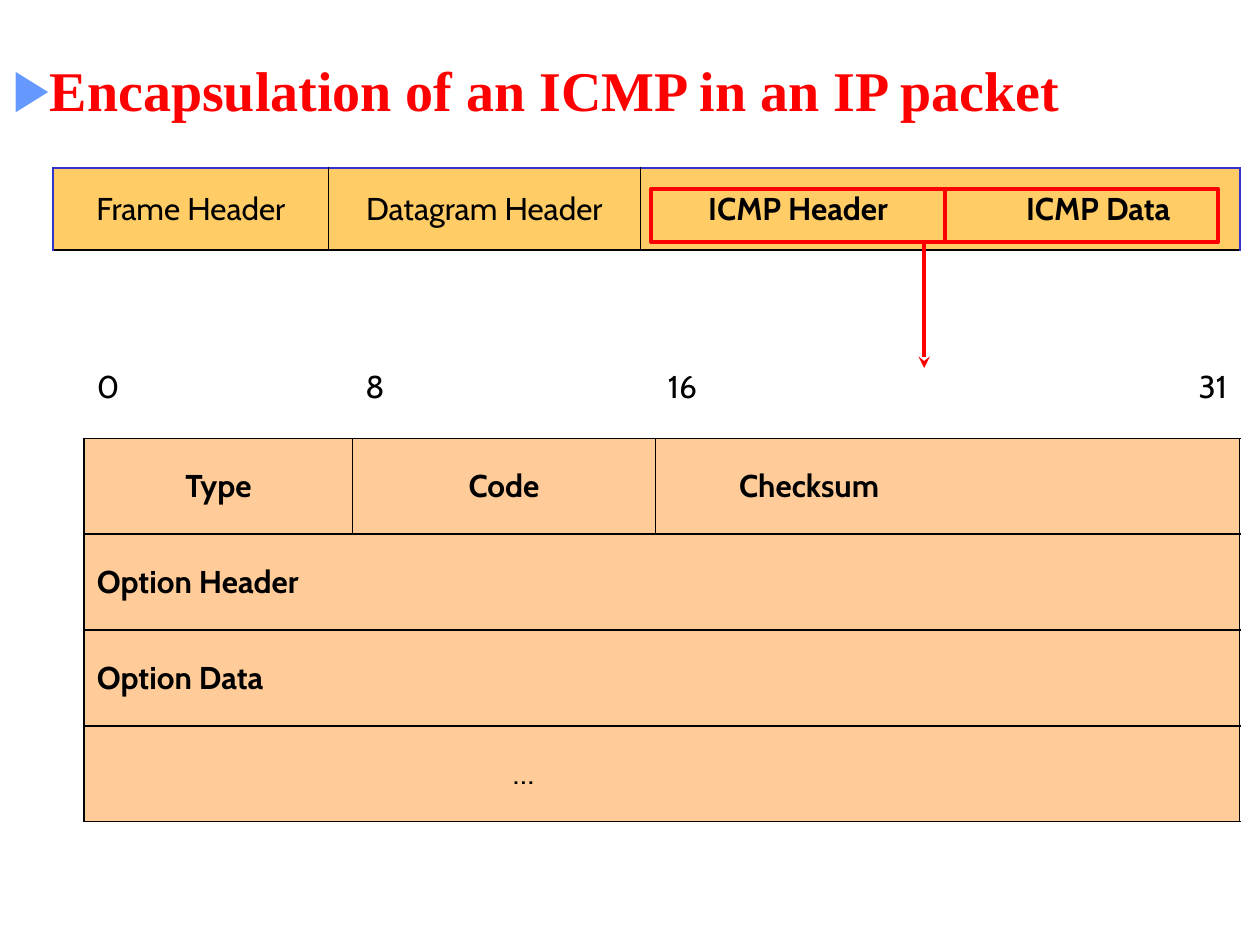
import pptx
import pptx.util
import pptx.dml.color
import pptx.enum.shapes
import pptx.enum.text
import pptx.oxml.ns
import pptx.oxml.xmlchemy
from lxml import etree

Cm, Pt = pptx.util.Cm, pptx.util.Pt
RGB = pptx.dml.color.RGBColor
ALIGN = pptx.enum.text.PP_ALIGN
MIDDLE = pptx.enum.text.MSO_ANCHOR.MIDDLE

RED = RGB(0xFF, 0x00, 0x00)
BLACK = RGB(0x00, 0x00, 0x00)
BLUE = RGB(0x33, 0x33, 0xCC)
BULLET = RGB(0x66, 0x99, 0xFF)
GOLD = RGB(0xFF, 0xCC, 0x66)
PEACH = RGB(0xFF, 0xCC, 0x99)

THIN, THICK, OUTER = (BLACK, 0.45), (BLACK, 1.08), (BLUE, 1.08)
TITLE_FONT = {"name": "Times New Roman", "size": Pt(32), "bold": True}
CELL_FONT = {"name": "Cabin", "size": Pt(18)}


def set_font(font, values, color):
    """Apply a dict of format values and a colour to a font."""
    for name, value in values.items():
        setattr(font, name, value)
    font.color.rgb = color


def add_xml(parent, tag, index=None, **attrs):
    """Create a DrawingML child, at the end or at an index."""
    child = pptx.oxml.xmlchemy.OxmlElement(tag)
    for name, value in attrs.items():
        child.set(name, str(value))
    parent.insert(len(parent) if index is None else index, child)
    return child


def set_borders(cell, edges):
    """Draw the left, right, top and bottom edges of a cell."""
    tcPr = cell._tc.get_or_add_tcPr()
    for i, (side, edge) in enumerate(zip("LRTB", edges)):
        if edge:
            color, width = edge
            ln = add_xml(tcPr, "a:ln" + side, i, w=int(Pt(width)))
            add_xml(add_xml(ln, "a:solidFill"), "a:srgbClr", val=color)
        else:
            add_xml(add_xml(tcPr, "a:ln" + side, i, w=0), "a:noFill")


def add_grid(s, box, cols, heights, rows):
    """Add a table from rows of (cells, fill, vertical edges, top, bottom)."""
    tbl = s.shapes.add_table(len(rows), len(cols), *map(Cm, box)).table
    tbl.first_row = tbl.horz_banding = False
    for col, width in zip(tbl.columns, cols):
        col.width = Cm(width)
    for r, (cells, fill, edges, top, bottom) in enumerate(rows):
        tbl.rows[r].height = Cm(heights[r])
        if len(cells) == 2:
            tbl.cell(r, 0).merge(tbl.cell(r, 2))
            cells = [cells[0], None, None, cells[1]]
        for c, content in enumerate(cells):
            cell = tbl.cell(r, c)
            cell.vertical_anchor = MIDDLE
            if fill:
                cell.fill.solid()
                cell.fill.fore_color.rgb = fill
            else:
                cell.fill.background()
            set_borders(cell, (edges[c], edges[c + 1], top, bottom))
            p = cell.text_frame.paragraphs[0]
            if content:
                text, align, bold = content
                p.alignment = align
                run = p.add_run()
                run.text = text
                set_font(run.font, {**CELL_FONT, "bold": bold}, BLACK)


def add_line(s, x1, y1, x2, y2, head=None):
    """Add a straight red line with an optional arrowhead."""
    sp = s.shapes.add_connector(pptx.enum.shapes.MSO_CONNECTOR.STRAIGHT,
                                *map(Cm, (x1, y1, x2, y2)))
    sp.line.color.rgb = RED
    sp.line.width = Pt(2.25)
    if head:
        add_xml(sp.line._get_or_add_ln(), "a:tailEnd", type=head)
    etree.SubElement(sp._element.spPr, pptx.oxml.ns.qn("a:effectLst"))


def add_title(s, box, text):
    """Place the bulleted title in its placeholder."""
    sp = s.shapes.title
    for name, value in zip(("left", "top", "width", "height"), box):
        setattr(sp, name, Cm(value))
    tf = sp.text_frame
    tf.vertical_anchor = MIDDLE
    tf.auto_size = pptx.enum.text.MSO_AUTO_SIZE.NONE
    p = tf.paragraphs[0]
    p.alignment = ALIGN.LEFT
    pPr = p._p.get_or_add_pPr()
    add_xml(add_xml(pPr, "a:buClr"), "a:srgbClr", val=BULLET)
    add_xml(pPr, "a:buFont", typeface="Times New Roman")
    add_xml(pPr, "a:buChar", char="▶")
    r = p.add_run()
    r.text = text
    set_font(r.font, TITLE_FONT, RED)


def add_packet(s, box):
    """Add the packet row with its highlighted ICMP part and arrow."""
    x, y, w, h = box
    cells = [("Frame Header", ALIGN.CENTER, False),
             ("Datagram Header", ALIGN.CENTER, False),
             ("ICMP Header", ALIGN.CENTER, True),
             ("ICMP Data", ALIGN.CENTER, True)]
    add_grid(s, box, (5.56, 6.27, 6.38, 5.72), (h,),
             [(cells, GOLD, (OUTER, THIN, THIN, None, OUTER), OUTER, THICK)])
    left, top, width, height = x + 12.06, y + 0.42, 11.43, 1.07
    sp = s.shapes.add_shape(pptx.enum.shapes.MSO_SHAPE.RECTANGLE,
                            *map(Cm, (left, top, width, height)))
    sp.shadow.inherit = False
    sp.fill.background()
    sp.line.color.rgb = RED
    sp.line.width = Pt(2.25)
    bottom = top + height
    add_line(s, left + 5.92, top, left + 5.92, bottom)
    add_line(s, left + 5.5, bottom, left + 5.5, bottom + 2.54, "stealth")


def add_message(s, box):
    """Add the ICMP message layout under its bit scale."""
    bits = [(t, ALIGN.LEFT, False) for t in ("0", "8", "16")]
    bits.append(("31", ALIGN.RIGHT, False))
    fields = [(t, ALIGN.CENTER, True) for t in ("Type", "Code", "Checksum")]
    options = [("Option Header", ALIGN.LEFT, True),
               ("Option Data", ALIGN.LEFT, True),
               ("…", ALIGN.CENTER, False)]
    sides = (THICK, None, None, None, THICK)
    rows = [(bits, None, (None,) * 5, None, THICK),
            (fields + [None], PEACH, (THICK, THIN, THIN, None, THICK),
             THICK, THICK)]
    rows += [([o, None], PEACH, sides, THICK, THICK) for o in options]
    add_grid(s, box, (5.41, 6.1, 6.2, 5.58), (2.06,) + (1.93,) * 4, rows)


def main():
    """Build the slide and save it."""
    prs = pptx.Presentation()
    prs.slide_width, prs.slide_height = Cm(25.4), Cm(19.05)
    s = prs.slides.add_slide(prs.slide_layouts[5])
    add_title(s, (0, 0.85, 25.4, 1.9),
              "Encapsulation of an ICMP in an IP packet")
    add_packet(s, (1.07, 3.39, 23.93, 1.65))
    add_message(s, (1.7, 6.78, 23.29, 9.78))
    prs.save("out.pptx")


if __name__ == "__main__":
    main()
